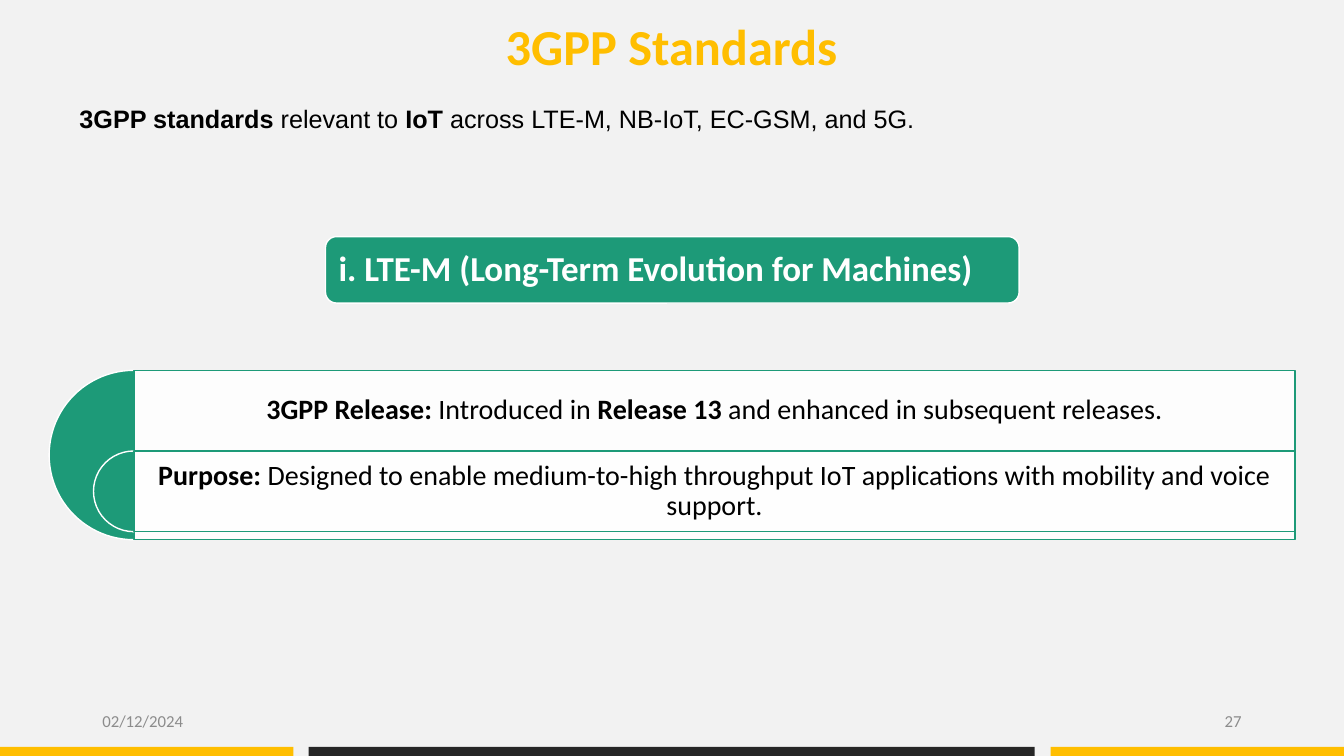
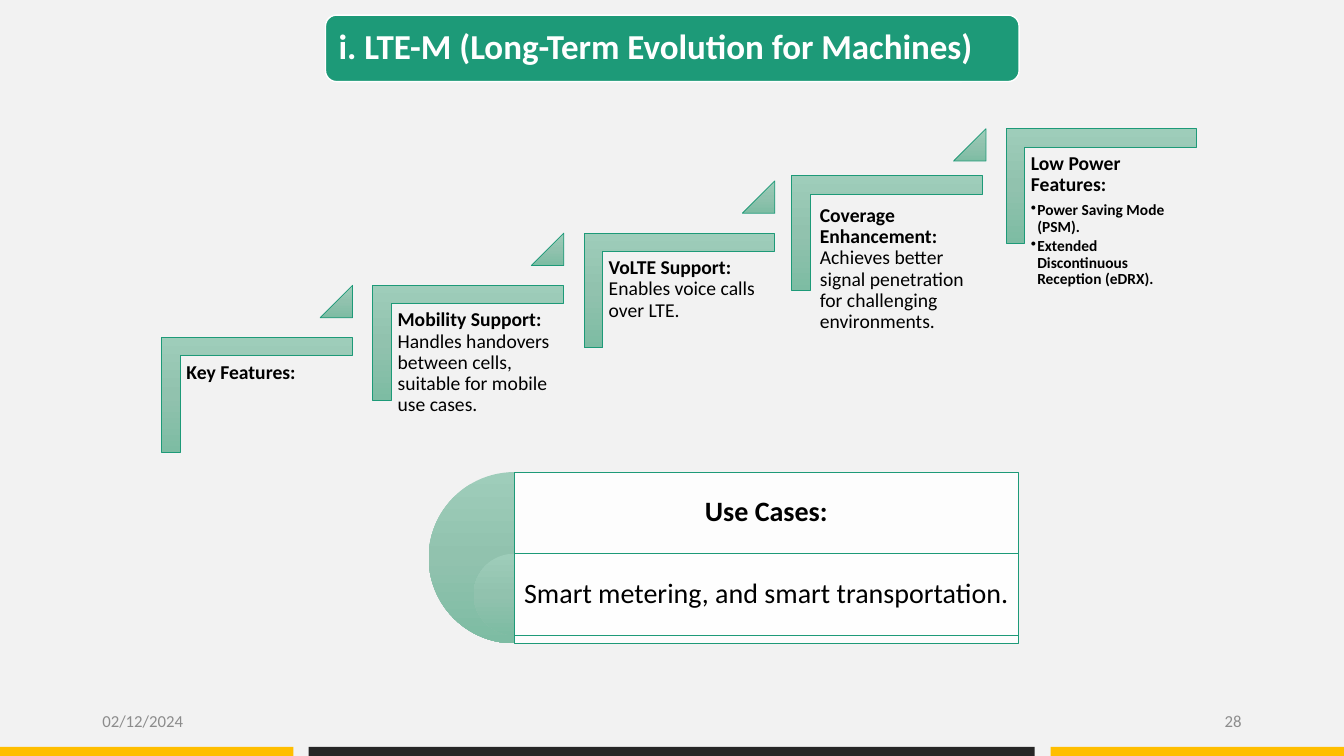
import copy
from dataclasses import dataclass
from typing import NamedTuple

import lxml.etree
import pptx
import pptx.dml.color
import pptx.enum.shapes
import pptx.enum.text
import pptx.oxml.ns
import pptx.presentation
import pptx.shapes.autoshape
import pptx.slide
import pptx.util

Pt = pptx.util.Pt
qn = pptx.oxml.ns.qn
SHAPE = pptx.enum.shapes.MSO_SHAPE
ALIGN = pptx.enum.text.PP_ALIGN
ANCHOR = pptx.enum.text.MSO_ANCHOR
Slide = pptx.slide.Slide
Shape = pptx.shapes.autoshape.Shape

COLORS = {
    "background": "F2F2F2",
    "yellow": "FFBE00",
    "dark": "262626",
    "gray": "8C8C8C",
    "green": "1D9A78",
    "white": "FFFFFF",
    "black": "000000",
    "grad_top": "9ECDBA",
    "grad_mid": "91C2AE",
    "grad_end": "7DBCA3",
}
GRADIENT = ("grad_top", "grad_mid", "grad_end")
STEP_DX, STEP_DY = 150.8, 37.3
CORNER_W, CORNER_H, CORNER_BAR = 136, 82, 13.2
HEADING = "i. LTE-M (Long-Term Evolution for Machines)"


class Box(NamedTuple):
    x: float
    y: float
    w: float
    h: float


class Run(NamedTuple):
    text: str
    bold: bool = False


@dataclass
class Para:
    runs: list[Run]
    size: float
    color: str = "black"
    font: str = "Calibri"
    align: ALIGN = ALIGN.LEFT
    spacing: float = 1.0
    after: float = 0
    bullet: bool = False


@dataclass
class Panel:
    axis: float
    top: float
    diameter: float
    width: float
    rows: list[list[Run]]
    gradient: bool
    line: float


@dataclass
class Step:
    paras: list[Para]
    dx: float = 0
    dy: float = 0


BANDS = [
    (Box(0, 533.5, 209.5, 6.5), "yellow"),
    (Box(220.5, 533.5, 518.5, 6.5), "dark"),
    (Box(750.5, 533.5, 209.5, 6.5), "yellow"),
]


def rgb(name: str) -> pptx.dml.color.RGBColor:
    return pptx.dml.color.RGBColor.from_string(COLORS[name])


def set_gradient(sp: Shape) -> None:
    fill = sp.fill
    fill.gradient()
    fill.gradient_angle = 270
    stops = sp.element.spPr.find(qn("a:gradFill")).find(qn("a:gsLst"))
    stops.insert(1, copy.deepcopy(stops[0]))
    for i, (stop, color) in enumerate(zip(fill.gradient_stops, GRADIENT)):
        stop.position = i / 2
        stop.color.rgb = rgb(color)


def style(sp: Shape, fill: str | None, line: str | None, width: float) -> None:
    sp.shadow.inherit = False
    if fill:
        sp.fill.solid()
        sp.fill.fore_color.rgb = rgb(fill)
    else:
        set_gradient(sp)
    if line:
        sp.line.color.rgb = rgb(line)
        sp.line.width = Pt(width)
    else:
        sp.line.fill.background()


def add_shape(s: Slide, kind: SHAPE, box: Box, fill: str | None = None,
              line: str | None = None, width: float = 1,
              adj: tuple[float, ...] = ()) -> Shape:
    sp = s.shapes.add_shape(kind, *map(Pt, box))
    for i, value in enumerate(adj):
        sp.adjustments[i] = value
    style(sp, fill, line, width)
    return sp


def add_corner(s: Slide, x: float, y: float) -> None:
    outline = [
        (CORNER_W, 0), (CORNER_W, CORNER_BAR), (CORNER_BAR, CORNER_BAR),
        (CORNER_BAR, CORNER_H), (0, CORNER_H),
    ]
    builder = s.shapes.build_freeform(Pt(x), Pt(y))
    builder.add_line_segments([(Pt(x + dx), Pt(y + dy)) for dx, dy in outline])
    style(builder.convert_to_shape(), None, "green", 0.5)


def write(sp: Shape, paras: list[Para], insets: tuple[float, float],
          anchor: ANCHOR = ANCHOR.TOP) -> None:
    tf = sp.text_frame
    tf.word_wrap = True
    tf.vertical_anchor = anchor
    tf.margin_left = tf.margin_right = Pt(insets[0])
    tf.margin_top = tf.margin_bottom = Pt(insets[1])
    for i, para in enumerate(paras):
        p = tf.add_paragraph() if i else tf.paragraphs[0]
        p.alignment = para.align
        p.line_spacing = para.spacing
        p.space_after = Pt(para.after)
        if para.bullet:
            p.level = 1
            pr = p._p.get_or_add_pPr()
            pr.set("marL", str(Pt(4.5)))
            pr.set("indent", str(Pt(-4.5)))
            lxml.etree.SubElement(pr, qn("a:buChar")).set("char", "•")
        for run in para.runs:
            r = p.add_run()
            r.text = run.text
            r.font.name = para.font
            r.font.size = Pt(para.size)
            r.font.bold = run.bold
            r.font.color.rgb = rgb(para.color)


def add_text(s: Slide, box: Box, paras: list[Para],
             insets: tuple[float, float] = (7.2, 3.6),
             anchor: ANCHOR = ANCHOR.TOP) -> None:
    write(s.shapes.add_textbox(*map(Pt, box)), paras, insets, anchor)


def add_base(prs: pptx.presentation.Presentation, number: int) -> Slide:
    s = prs.slides.add_slide(prs.slide_layouts[6])
    s.background.fill.solid()
    s.background.fill.fore_color.rgb = rgb("background")
    for box, color in BANDS:
        add_shape(s, SHAPE.RECTANGLE, box, color)
    footers = [(678, str(number), ALIGN.RIGHT), (66, "02/12/2024", ALIGN.LEFT)]
    for x, text, align in footers:
        para = Para([Run(text)], 12, "gray", align=align)
        add_text(s, Box(x, 500.5, 216, 28.5), [para], anchor=ANCHOR.MIDDLE)
    return s


def add_heading(s: Slide, top: float) -> None:
    sp = add_shape(s, SHAPE.ROUNDED_RECTANGLE, Box(232.5, top, 495.5, 47.5),
                   "green", "white")
    para = Para([Run(HEADING, True)], 25, "white", spacing=0.9)
    write(sp, [para], (7.2, 7.2), ANCHOR.MIDDLE)


def add_panel(s: Slide, panel: Panel) -> None:
    row_h = panel.diameter * 10 / 21
    for i, runs in enumerate(panel.rows):
        size = row_h if i else panel.diameter
        y = panel.top + i * row_h
        add_shape(s, SHAPE.PIE, Box(panel.axis - size / 2, y, size, size),
                  None if panel.gradient else "green",
                  None if panel.gradient else "white", adj=(54, 162))
        sp = add_shape(s, SHAPE.RECTANGLE, Box(panel.axis, y, panel.width, size),
                       "white", "green", panel.line)
        clr = sp.element.spPr.find(qn("a:solidFill"))[0]
        lxml.etree.SubElement(clr, qn("a:alpha")).set("val", "90000")
        para = Para(runs, 20, align=ALIGN.CENTER, spacing=0.9)
        add_text(s, Box(panel.axis, y, panel.width, row_h), [para],
                 (5.75, 5.75), ANCHOR.MIDDLE)


def add_stairs(s: Slide, steps: list[Step]) -> None:
    for i, step in enumerate(steps):
        x, y = 115.5 + i * STEP_DX, 241 - i * STEP_DY
        add_corner(s, x + step.dx, y + step.dy)
        add_text(s, Box(x + 13.4, y + 13.4, 123, 108), step.paras, (4.3, 4.3))
        if i < len(steps) - 1:
            add_shape(s, SHAPE.ISOSCELES_TRIANGLE,
                      Box(x + 113.2, y - 37.2, 23.2, 23.2),
                      None, "green", 0.5, (1,))


def feature(title: str, detail: str = "") -> Para:
    runs = [Run(title, True)] + ([Run(detail)] if detail else [])
    return Para(runs, 14, spacing=0.9, after=5)


def mode(text: str) -> Para:
    return Para([Run(text, True)], 11, spacing=0.9, after=1.65, bullet=True)


def build_standards(prs: pptx.presentation.Presentation) -> None:
    s = add_base(prs, 27)
    title = Para([Run("3GPP Standards", True)], 36, "yellow", align=ALIGN.CENTER)
    add_text(s, Box(56, 11, 847.5, 44), [title], (0, 0))
    intro = Para([
        Run("3GPP standards", True), Run(" relevant to "), Run("IoT", True),
        Run(" across LTE-M, NB-IoT, EC-GSM, and 5G."),
    ], 18, font="Arial")
    add_text(s, Box(49.7, 70, 677.5, 51), [intro])
    add_heading(s, 169)
    add_panel(s, Panel(95.6, 264.5, 121, 829.5, [
        [Run("3GPP Release:", True), Run(" Introduced in "),
         Run("Release 13", True), Run(" and enhanced in subsequent releases.")],
        [Run("Purpose:", True),
         Run(" Designed to enable medium-to-high throughput IoT applications "
             "with mobility and voice support.")],
    ], False, 1))


def build_features(prs: pptx.presentation.Presentation) -> None:
    s = add_base(prs, 28)
    add_heading(s, 10.8)
    add_stairs(s, [
        Step([feature("Key Features:")]),
        Step([feature("Mobility Support:", " Handles handovers between cells, "
                      "suitable for mobile use cases.")]),
        Step([feature("VoLTE Support:", " Enables voice calls over LTE.")]),
        Step([feature("Coverage Enhancement:", " Achieves better signal "
                      "penetration for challenging environments.")], -2.5, -3.6),
        Step([feature("Low Power Features:"), mode("Power Saving Mode (PSM)."),
              mode("Extended Discontinuous Reception (eDRX).")]),
    ])
    add_panel(s, Panel(367.4, 337.2, 122.4, 360, [
        [Run("Use Cases:", True)],
        [Run("Smart metering, and smart transportation.")],
    ], True, 0.5))


def main() -> None:
    prs = pptx.Presentation()
    prs.slide_width, prs.slide_height = Pt(960), Pt(540)
    build_standards(prs)
    build_features(prs)
    prs.save("out.pptx")


if __name__ == "__main__":
    main()
